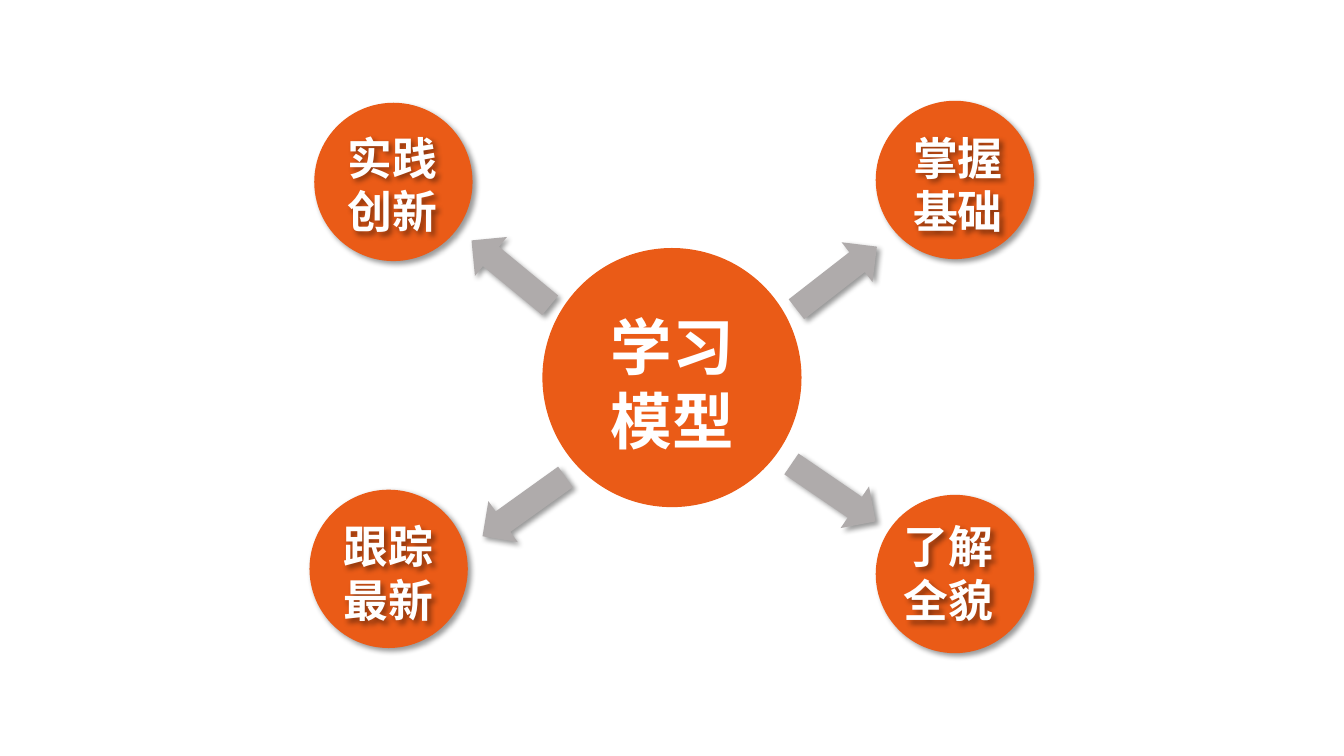
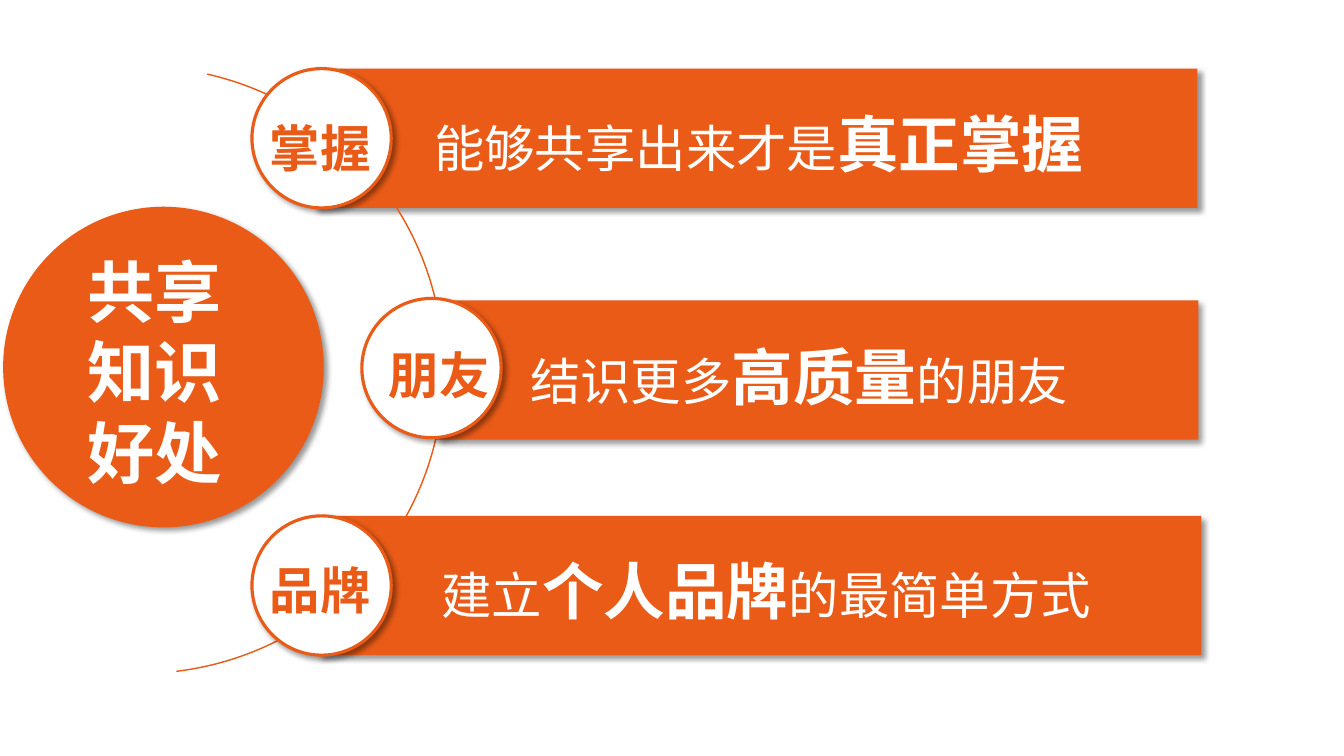
from lxml import etree
from pptx import Presentation
from pptx.dml.color import RGBColor
from pptx.enum.shapes import MSO_SHAPE
from pptx.oxml.ns import qn
from pptx.util import Cm, Pt

OVAL = MSO_SHAPE.OVAL
RECTANGLE = MSO_SHAPE.RECTANGLE
UP_ARROW = MSO_SHAPE.UP_ARROW
BLOCK_ARC = MSO_SHAPE.BLOCK_ARC

FONT = "Noto Sans CJK SC"
COLORS = {"orange": "EA5B17", "gray": "AFABAB", "white": "FFFFFF", "black": "000000"}
RGB = {name: RGBColor.from_string(value) for name, value in COLORS.items()}


def style_shape(sp, fill=None, line=None, width=1, shadow=True):
    """Set fill, outline and the soft shadow to the lower right."""
    if fill:
        sp.fill.solid()
        sp.fill.fore_color.rgb = RGB[fill]
    if line:
        sp.line.color.rgb = RGB[line]
        sp.line.width = Pt(width)
    else:
        sp.line.fill.background()
    sp.shadow.inherit = False
    if shadow:
        effects = sp.element.spPr.find(qn("a:effectLst"))
        outer = etree.SubElement(effects, qn("a:outerShdw"), blurRad=str(Pt(4)),
                                 dist=str(Pt(3)), dir="2700000", algn="tl", rotWithShape="0")
        color = etree.SubElement(outer, qn("a:srgbClr"), val=COLORS["black"])
        etree.SubElement(color, qn("a:alpha"), val="40000")


def add_text(s, left, top, width, height, lines, color="white", inset=True):
    """Add a text box; each line is a list of (text, size, bold) runs."""
    sp = s.shapes.add_textbox(Cm(left), Cm(top), Cm(width), Cm(height))
    tf = sp.text_frame
    tf.word_wrap = True
    size = max(run[1] for run in lines[0])
    tf.margin_left = tf.margin_right = Cm(0.25 if inset else 0)
    tf.margin_top = Cm(0.13 if inset else 0) + Pt(0.09 * size)
    tf.margin_bottom = 0
    for i, runs in enumerate(lines):
        p = tf.paragraphs[0] if i == 0 else tf.add_paragraph()
        p.line_spacing = Pt(1.2 * size)
        for text, points, bold in runs:
            r = p.add_run()
            r.text = text
            r.font.size = Pt(points)
            r.font.bold = bold
            r.font.name = FONT
            r.font.color.rgb = RGB[color]
            latin = r.font._element.find(qn("a:latin"))
            latin.addnext(latin.makeelement(qn("a:ea"), {"typeface": FONT}))
    return sp


prs = Presentation()
prs.slide_width, prs.slide_height = Cm(33.87), Cm(19.05)
blank = prs.slide_layouts[6]

# Slide 1: learning model
s = prs.slides.add_slide(blank)
sp = s.shapes.add_shape(OVAL, Cm(13.67), Cm(6.25), Cm(6.53), Cm(6.53))
style_shape(sp, "orange", shadow=False)
add_text(s, 15.14, 7.52, 4.19, 4.01, [[("学习模型", 44, True)]])

# circle left and top, label left and top, label lines
steps = [
    (22.07, 2.54, 23.01, 3.18, ["掌握基础"]),
    (22.07, 12.47, 22.78, 12.98, ["了解全貌"]),
    (7.8, 12.34, 8.66, 12.98, ["跟踪", "最新"]),
    (7.92, 2.59, 8.76, 3.18, ["实践", "创新"]),
]
for left, top, text_left, text_top, lines in steps:
    sp = s.shapes.add_shape(OVAL, Cm(left), Cm(top), Cm(3.99), Cm(3.99))
    style_shape(sp, "orange")
    label = add_text(s, text_left, text_top, 2.5, 2.74,
                     [[(line, 32, True)] for line in lines], inset=False)
    style_shape(label)

arrows = [(20.45, 5.72, 52.1), (12.24, 5.59, 309.5),
          (20.37, 11.13, 124.3), (12.57, 11.48, 234.4)]
for left, top, angle in arrows:
    sp = s.shapes.add_shape(UP_ARROW, Cm(left), Cm(top), Cm(1.27), Cm(2.57))
    sp.rotation = angle
    style_shape(sp, "gray")

# Slide 2: benefits of sharing knowledge
s = prs.slides.add_slide(blank)
sp = s.shapes.add_shape(OVAL, Cm(0.08), Cm(5.21), Cm(8.08), Cm(8.08))
style_shape(sp, "orange")

BAR_HEIGHT = 3.51
for left, top, width in [(8.05, 13, 22.23), (11, 7.57, 19.2), (7.95, 1.73, 22.23)]:
    sp = s.shapes.add_shape(RECTANGLE, Cm(left), Cm(top), Cm(width), Cm(BAR_HEIGHT))
    style_shape(sp, "orange")

arc = s.shapes.add_shape(BLOCK_ARC, Cm(-4.11), Cm(1.68), Cm(15.29), Cm(15.29))
for i, value in enumerate([108, 204.17, 0]):
    arc.adjustments[i] = value
arc.rotation = 102.8
style_shape(arc, "orange", line="orange", shadow=False)

# circle left and top, label left and top, label, sentence left, top and width, runs
benefits = [
    (6.35, 1.73, 6.55, 2.72, "掌握", 10.69, 2.41, 18.06,
     [("能够共享出来才是", 36, False), ("真正掌握", 44, True)]),
    (9.12, 7.52, 9.55, 8.43, "朋友", 13.11, 8.26, 15.29,
     [("结识更多", 36, False), ("高质量", 44, True), ("的朋友", 36, False)]),
    (6.35, 13, 6.55, 13.84, "品牌", 10.87, 13.67, 17.07,
     [("建立", 36, False), ("个人品牌", 44, True), ("的最简单方式", 36, False)]),
]
for left, top, label_left, label_top, label, text_left, text_top, text_width, runs in benefits:
    sp = s.shapes.add_shape(OVAL, Cm(left), Cm(top), Cm(BAR_HEIGHT), Cm(BAR_HEIGHT))
    style_shape(sp, "white", line="orange", width=2.25)
    add_text(s, label_left, label_top, 3.1, 1.8, [[(label, 36, True)]], "orange")
    add_text(s, text_left, text_top, text_width, 2.13, [runs])

add_text(s, 1.96, 6.02, 4.62, 6.4, [[("共享知识好处", 48, True)]])

prs.save("out.pptx")
